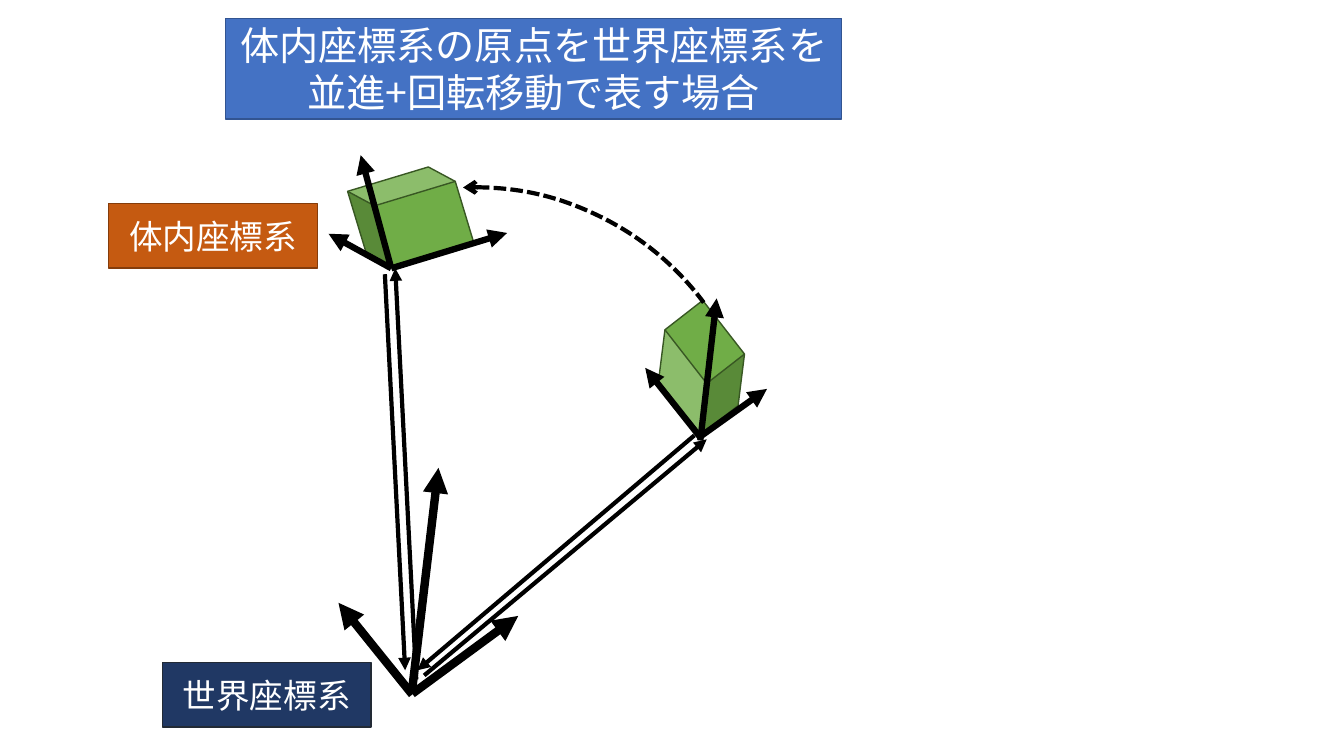
from lxml.etree import SubElement
from pptx import Presentation
from pptx.dml.color import RGBColor
from pptx.enum.dml import MSO_LINE
from pptx.enum.shapes import MSO_CONNECTOR, MSO_SHAPE
from pptx.enum.text import MSO_ANCHOR, PP_ALIGN
from pptx.oxml.ns import qn
from pptx.util import Cm, Pt

FONT = "Noto Sans CJK JP"
BLACK = RGBColor(0x00, 0x00, 0x00)
WHITE = RGBColor(0xFF, 0xFF, 0xFF)
BLUE = RGBColor(0x44, 0x72, 0xC4)
BLUE_EDGE = RGBColor(0x32, 0x54, 0x91)
NAVY = RGBColor(0x20, 0x38, 0x64)
NAVY_EDGE = RGBColor(0x22, 0x2A, 0x35)
ORANGE = RGBColor(0xC5, 0x5A, 0x11)
ORANGE_EDGE = RGBColor(0x84, 0x3C, 0x0B)
GREEN = RGBColor(0x70, 0xAD, 0x47)
GREEN_EDGE = RGBColor(0x38, 0x57, 0x23)


def add_solid(page, kind, frame, fill, edge):
    shape = page.shapes.add_shape(kind, *map(Cm, frame))
    shape.shadow.inherit = False
    shape.fill.solid()
    shape.fill.fore_color.rgb = fill
    shape.line.color.rgb = edge
    shape.line.width = Pt(1)
    return shape


def add_label(page, frame, lines, size, fill, edge):
    box = add_solid(page, MSO_SHAPE.RECTANGLE, frame, fill, edge)
    text = box.text_frame
    text.word_wrap = True
    text.vertical_anchor = MSO_ANCHOR.MIDDLE
    text.text = "\n".join(lines)
    for para in text.paragraphs:
        para.alignment = PP_ALIGN.CENTER
        para.font.size = Pt(size)
        para.font.color.rgb = WHITE
        para.font.name = FONT
        defaults = para._p.get_or_add_pPr().get_or_add_defRPr()
        SubElement(defaults, qn("a:ea"), typeface=FONT)


def add_cube(page, frame, rotation, flip, depth):
    cube = add_solid(page, MSO_SHAPE.CUBE, frame, GREEN, GREEN_EDGE)
    cube.adjustments[0] = depth
    cube.rotation = rotation
    cube._element.spPr.find(qn("a:xfrm")).set(flip, "1")


def add_arrow(page, start, end, width):
    arrow = page.shapes.add_connector(MSO_CONNECTOR.STRAIGHT, *map(Cm, start + end))
    arrow.line.color.rgb = BLACK
    arrow.line.width = Pt(width)
    SubElement(arrow.line._get_or_add_ln(), qn("a:tailEnd"), type="triangle")
    SubElement(arrow._element.spPr, qn("a:effectLst"))


def add_axes(page, origin_x, axes, width):
    for origin_y, tip in axes:
        add_arrow(page, (origin_x, origin_y), tip, width)


def add_rotation_arc(page, frame):
    arc = page.shapes.add_shape(MSO_SHAPE.ARC, *map(Cm, frame))
    arc.shadow.inherit = False
    arc.adjustments[0] = 163.336
    arc.adjustments[1] = 196.613
    arc.rotation = 355.6
    arc.fill.background()
    arc.line.color.rgb = BLACK
    arc.line.width = Pt(3)
    arc.line.dash_style = MSO_LINE.SQUARE_DOT
    SubElement(arc.line._get_or_add_ln(), qn("a:headEnd"), type="arrow")


def main():
    deck = Presentation()
    deck.slide_width, deck.slide_height = Cm(33.87), Cm(19.05)
    page = deck.slides.add_slide(deck.slide_layouts[6])

    add_label(page, (4.09, 16.69, 5.26, 1.63), ["世界座標系"], 24, NAVY, NAVY_EDGE)
    add_label(page, (2.74, 5.13, 5.26, 1.63), ["体内座標系"], 24, ORANGE, ORANGE_EDGE)
    title = ["体内座標系の原点を世界座標系を", "並進+回転移動で表す場合"]
    add_label(page, (5.69, 0.46, 15.52, 2.54), title, 28, BLUE, BLUE_EDGE)

    add_cube(page, (16.36, 8.2, 2.64, 2.13), 52.1, "flipV", 0.434)
    world_axes = [(17.35, (11.05, 11.79)), (17.48, (13.06, 15.52)), (17.5, (8.53, 15.19))]
    add_axes(page, 10.39, world_axes, 6)
    add_arrow(page, (9.7, 6.91), (10.21, 16.89), 3)
    add_arrow(page, (10.49, 17.12), (9.96, 6.76), 3)
    translated_axes = [(11.1, (18.06, 7.52)), (11, (19.33, 9.8)), (11.02, (16.26, 9.27))]
    add_axes(page, 17.65, translated_axes, 4.5)

    add_cube(page, (9.02, 4.39, 2.67, 2.18), 343.2, "flipH", 0.25)
    body_axes = [(6.76, (9.09, 3.91)), (6.76, (12.78, 5.87)), (6.76, (8.28, 5.89))]
    add_axes(page, 9.86, body_axes, 4.5)
    add_arrow(page, (17.5, 10.97), (10.52, 16.89), 3)
    add_arrow(page, (10.69, 17.02), (17.81, 11.07), 3)
    add_rotation_arc(page, (4.72, 4.72, 14.45, 14.45))

    deck.save("out.pptx")


if __name__ == "__main__":
    main()
